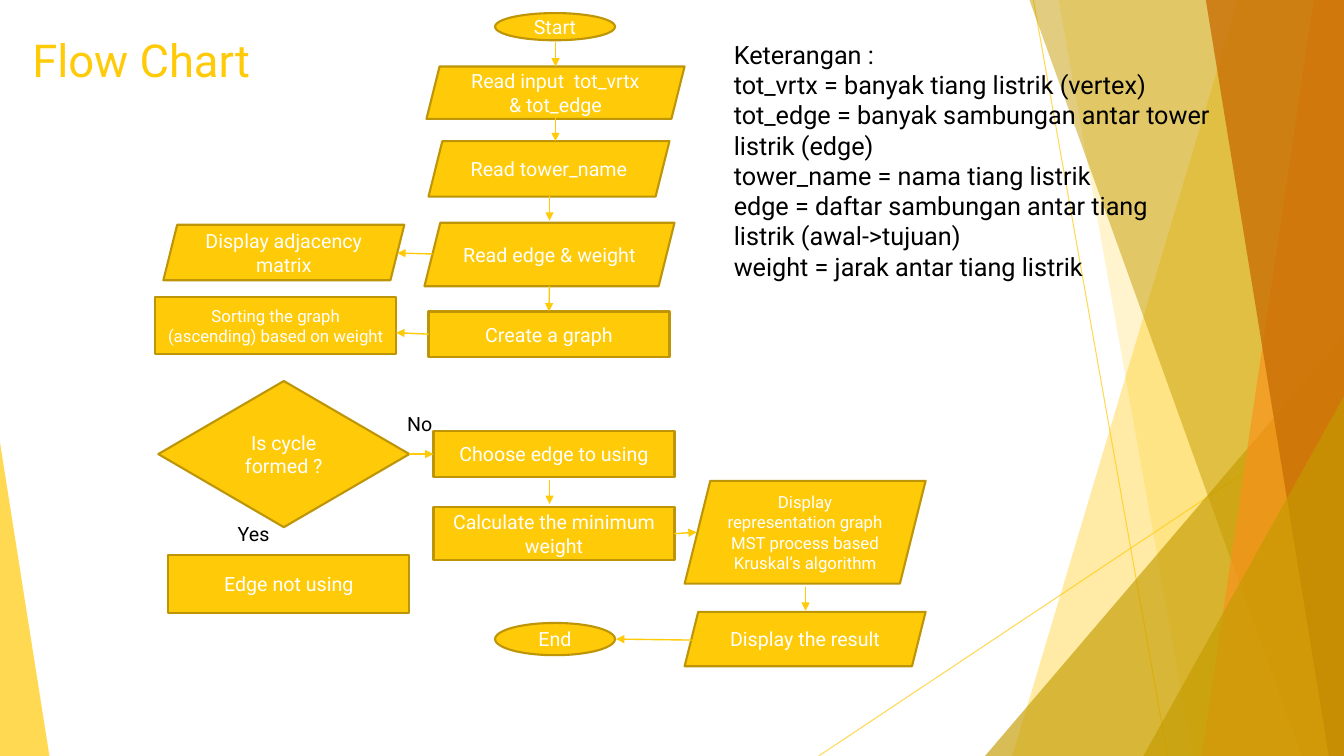
from lxml import etree
from pptx import Presentation
from pptx.dml.color import RGBColor
from pptx.enum.shapes import MSO_CONNECTOR, MSO_SHAPE
from pptx.enum.text import MSO_ANCHOR, MSO_AUTO_SIZE, PP_ALIGN
from pptx.oxml.ns import qn
from pptx.util import Inches, Pt

GOLD = RGBColor(0xFF, 0xCA, 0x08)
EDGE = RGBColor(0xBD, 0x95, 0x06)
OLIVE = RGBColor(0xC5, 0x9B, 0x00)
ORANGE = RGBColor(0xF8, 0x93, 0x1D)
RUST = RGBColor(0xCA, 0x6F, 0x06)
WHITE = RGBColor(0xFF, 0xFF, 0xFF)
BLACK = RGBColor(0, 0, 0)

LINE = MSO_CONNECTOR.STRAIGHT
RECT = MSO_SHAPE.RECTANGLE
OVAL = MSO_SHAPE.OVAL
SLANT = MSO_SHAPE.PARALLELOGRAM
DIAMOND = MSO_SHAPE.DIAMOND
TRIANGLE = MSO_SHAPE.ISOSCELES_TRIANGLE
LEFT, CENTER = PP_ALIGN.LEFT, PP_ALIGN.CENTER
TOP, MIDDLE = MSO_ANCHOR.TOP, MSO_ANCHOR.MIDDLE
NONE, GROW = MSO_AUTO_SIZE.NONE, MSO_AUTO_SIZE.SHAPE_TO_FIT_TEXT

WIDE, HIGH = 13.33, 7.5

# Corners as (x, y) from the top left of the art, then colour and opacity
BANDS = [
    ([(2.24, 0), (3.29, 0), (3.29, HIGH), (0, HIGH)], GOLD, 36),
    ([(0.46, 0), (3.29, 0), (3.29, HIGH), (1.79, HIGH)], GOLD, 20),
    ([(0.17, 0), (3.29, 0), (3.29, HIGH), (2.87, HIGH)], OLIVE, 50),
    ([(2.99, 0), (3.29, 0), (3.29, HIGH), (1.88, HIGH)], ORANGE, 70),
    ([(1.92, 0), (3.29, 0), (3.29, HIGH), (3.14, HIGH)], RUST, 80),
]

# Name: shape, box, text, size
STEPS = {
    "start": (OVAL, (4.91, 0.13, 1.19, 0.27), "Start", 14),
    "cycle": (DIAMOND, (1.57, 3.78, 2.49, 1.45), "Is cycle formed ?", 14),
    "input": (SLANT, (4.23, 0.66, 2.56, 0.52),
              "Read input  tot_vrtx & tot_edge", 14),
    "tower": (SLANT, (4.25, 1.4, 2.39, 0.55), "Read tower_name", 14),
    "weight": (SLANT, (4.21, 2.21, 2.48, 0.63), "Read edge & weight", 14),
    "sort": (RECT, (1.54, 2.95, 2.39, 0.56),
             "Sorting the graph (ascending) based on weight", 12),
    "unused": (RECT, (1.67, 5.51, 2.39, 0.57), "Edge not using", 14),
    "choose": (RECT, (4.3, 4.28, 2.39, 0.45), "Choose edge to using", 14),
    "matrix": (SLANT, (1.62, 2.23, 2.39, 0.55),
               "Display adjacency matrix", 14),
    "show": (SLANT, (6.79, 4.77, 2.39, 1.02),
             "Display representation graph MST process based "
             "Kruskal’s algorithm", 12),
    "result": (SLANT, (6.79, 6.07, 2.39, 0.54), "Display the result", 14),
    "total": (RECT, (4.3, 5.03, 2.39, 0.53),
              "Calculate the minimum weight", 14),
    "end": (OVAL, (4.91, 6.18, 1.19, 0.32), "End", 14),
    "graph": (RECT, (4.25, 3.09, 2.39, 0.45), "Create a graph", 14),
}

# Ends as (x, y), then the joined step and side at either end
ARROWS = [
    ((5.51, 0.42), (5.51, 0.66), None, None),
    ((5.51, 1.15), (5.51, 1.4), None, None),
    ((5.45, 1.94), (5.45, 2.19), None, None),
    ((5.45, 2.84), (5.45, 3.09), None, ("graph", 0)),
    ((4.29, 2.52), (3.94, 2.51), None, None),
    ((4.25, 3.31), (3.93, 3.3), ("graph", 1), None),
    ((4.06, 4.51), (4.3, 4.51), ("cycle", 3), ("choose", 1)),
    ((5.45, 4.76), (5.45, 5), None, None),
    ((6.69, 5.29), (6.91, 5.28), ("total", 3), None),
    ((6.86, 6.35), (6.11, 6.34), None, None),
    ((7.99, 5.82), (7.99, 6.06), None, None),
]

LABELS = [("Yes", (2.26, 5.13, 0.56, 0.34)), ("No", (3.94, 4.04, 0.82, 0.34))]

NOTES = [
    "Keterangan :",
    "tot_vrtx = banyak tiang listrik (vertex)",
    "tot_edge = banyak sambungan antar tower listrik (edge)",
    "tower_name = nama tiang listrik",
    "edge = daftar sambungan antar tiang listrik (awal->tujuan)",
    "weight = jarak antar tiang listrik",
]


def inch(*nums):
    return [Inches(n) for n in nums]


def fade(part, alpha):
    """Make the solid colour inside an XML part partly clear."""
    for clr in part.iter(qn("a:srgbClr")):
        etree.SubElement(clr, qn("a:alpha"), val=str(alpha * 1000))


def write(shape, lines, size, color, align=LEFT, anchor=TOP, fit=NONE):
    frame = shape.text_frame
    frame.text = "\n".join(lines)
    form = {"word_wrap": True, "auto_size": fit, "vertical_anchor": anchor}
    for key, val in form.items():
        setattr(frame, key, val)
    for para in frame.paragraphs:
        para.alignment = align
        for key, val in {"name": "Roboto", "size": Pt(size)}.items():
            setattr(para.font, key, val)
        para.font.color.rgb = color


def add_line(slide, start, stop, width):
    line = slide.shapes.add_connector(LINE, *inch(*start, *stop))
    line.line.color.rgb = GOLD
    line.line.width = Pt(width)
    etree.SubElement(line._element.spPr, qn("a:effectLst"))
    return line


def paint(shape, color, alpha):
    shape.shadow.inherit = False
    shape.fill.solid()
    shape.fill.fore_color.rgb = color
    shape.line.fill.background()
    fade(shape._element.spPr, alpha)


def add_wedge(slide, box, tip, color, alpha):
    wedge = slide.shapes.add_shape(TRIANGLE, *inch(*box))
    wedge.adjustments[0] = tip
    paint(wedge, color, alpha)


def add_band(slide, left, top, corners, color, alpha):
    points = [inch(left + x, top + y) for x, y in corners]
    pen = slide.shapes.build_freeform(*points[0], scale=1.0)
    pen.add_line_segments(points[1:], close=True)
    paint(pen.convert_to_shape(), color, alpha)


def add_art(slide, left, top):
    """Draw the layered facets on the right and the wedge on the left."""
    right, base = WIDE, top + HIGH
    for start, stop in (((10.25, top), (11.58, base)),
                        ((right, 4.03), (8.12, base))):
        fade(add_line(slide, start, stop, 0.75)._element.spPr, 70)
    for spot, band in enumerate(BANDS):
        if spot == 2:
            add_wedge(slide, (right - 3.56, base - 4.17, 3.56, 4.17),
                      1, OLIVE, 66)
        add_band(slide, left, top, *band)
    add_wedge(slide, (right - 1.99, base - 3.57, 1.99, 3.57), 1, OLIVE, 66)
    add_wedge(slide, (0, base - 3.11, 0.49, 3.11), 0, GOLD, 70)


def add_title(slide, box):
    title = slide.shapes.title
    for key, val in zip(("left", "top", "width", "height"), inch(*box)):
        setattr(title, key, val)
    write(title, ["Flow Chart"], 32.4, GOLD, anchor=MIDDLE)


def add_text(slide, box, lines, size):
    text = slide.shapes.add_textbox(*inch(*box))
    write(text, lines, size, BLACK, fit=GROW)


def add_step(slide, kind, box, text, size):
    step = slide.shapes.add_shape(kind, *inch(*box))
    step.shadow.inherit = False
    step.fill.solid()
    step.fill.fore_color.rgb = GOLD
    step.line.color.rgb = EDGE
    step.line.width = Pt(1.5)
    write(step, [text], size, WHITE, CENTER, MIDDLE)
    return step


def add_chart(slide, left, top):
    """Draw the steps, labels and arrows, shifted by left and top."""
    def shift(spot):
        return (spot[0] + left, spot[1] + top, *spot[2:])

    steps = {name: add_step(slide, kind, shift(box), text, size)
             for name, (kind, box, text, size) in STEPS.items()}
    for text, box in LABELS:
        add_text(slide, shift(box), [text], 14)
    for start, stop, tail, head in ARROWS:
        arrow = add_line(slide, shift(start), shift(stop), 1)
        etree.SubElement(arrow.line._get_or_add_ln(), qn("a:tailEnd"),
                         type="triangle")
        if tail:
            arrow.begin_connect(steps[tail[0]], tail[1])
        if head:
            arrow.end_connect(steps[head[0]], head[1])


def main():
    deck = Presentation()
    deck.slide_width, deck.slide_height = inch(WIDE, HIGH)
    slide = deck.slides.add_slide(deck.slide_layouts[5])
    add_art(slide, 10.04, 0)
    add_title(slide, (0.22, 0.26, 2.6, 0.66))
    add_text(slide, (7.18, 0.34, 4.93, 2.52), NOTES, 18)
    add_chart(slide, 0, 0)
    deck.save("out.pptx")


if __name__ == "__main__":
    main()
